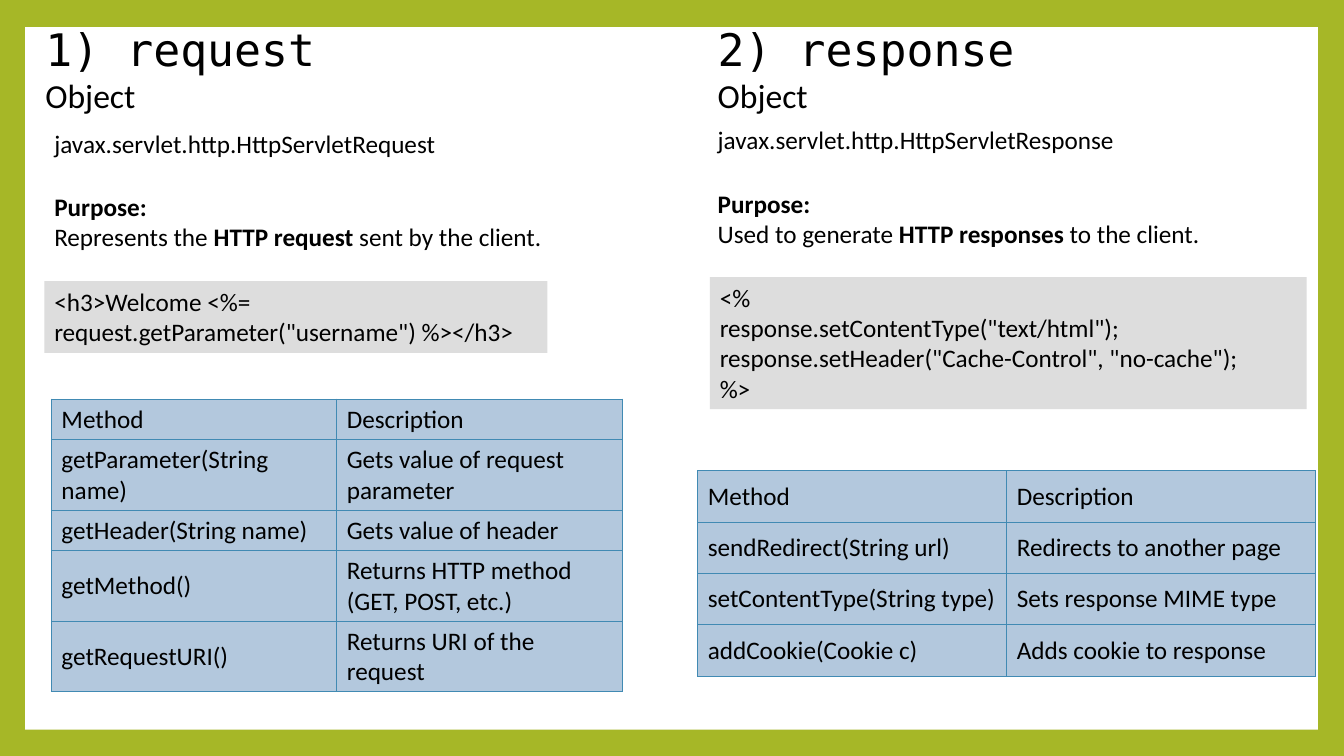
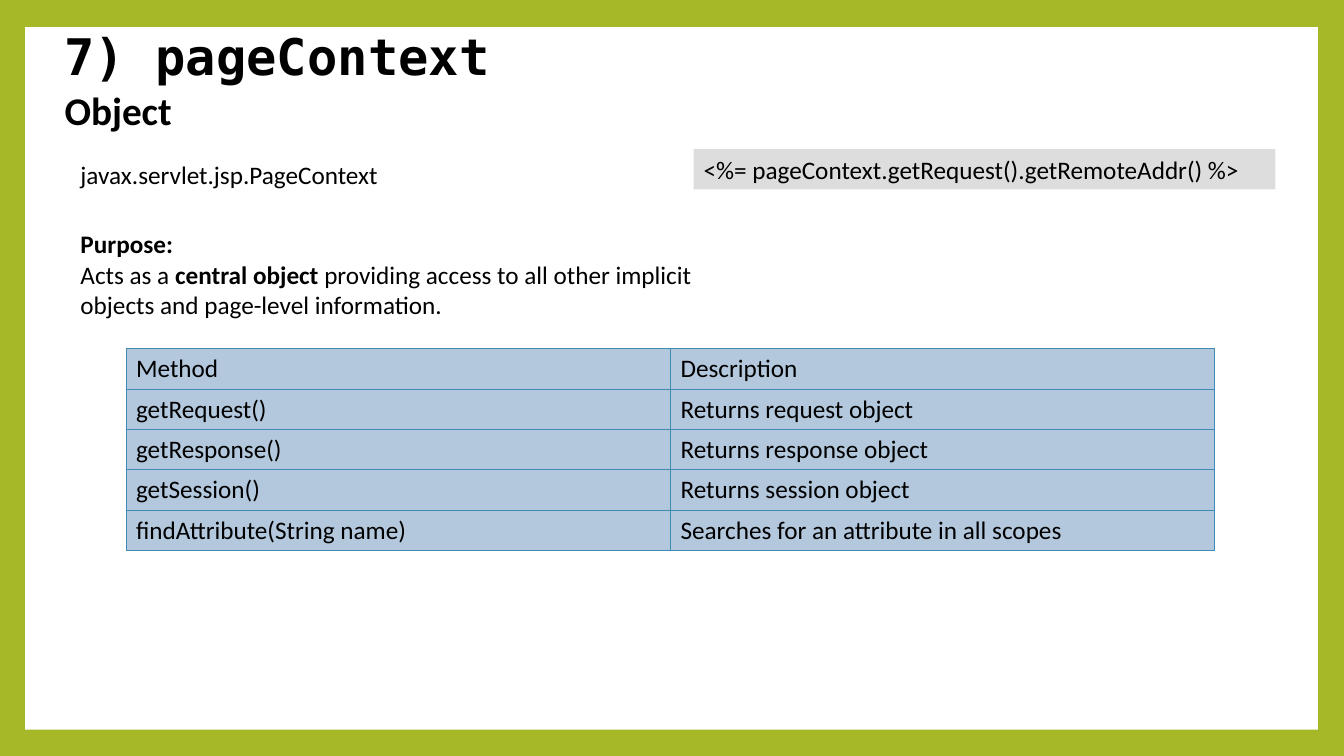
import pptx
import pptx.dml.color
import pptx.enum.shapes
import pptx.enum.text
import pptx.oxml
import pptx.oxml.ns
import pptx.util

Inches = pptx.util.Inches
Pt = pptx.util.Pt

# Shared look
GREEN, WHITE, BLACK = "A6B727", "FFFFFF", "000000"
CODE_GRAY, CELL_BLUE, BORDER_BLUE = "DDDDDD", "B3C8DD", "418AB3"
BODY_FONT, MONO_FONT = "Calibri", "DejaVu Sans Mono"
BODY_SIZE = 18
TITLE_ONLY = 5


def color(hex_string):
    return pptx.dml.color.RGBColor.from_string(hex_string)


def paint(shape, hex_string):
    shape.shadow.inherit = False
    shape.fill.solid()
    shape.fill.fore_color.rgb = color(hex_string)
    shape.line.fill.background()


def place(shape, left, top, width, height):
    shape.left, shape.top = Inches(left), Inches(top)
    shape.width, shape.height = Inches(width), Inches(height)


def format_run(run, size=BODY_SIZE, font=BODY_FONT, bold=False):
    run.font.size = Pt(size)
    run.font.name = font
    run.font.bold = bold
    run.font.color.rgb = color(BLACK)


def write(text_frame, lines):
    """Write one paragraph per line; text between ** marks is bold."""
    text_frame.word_wrap = True
    text_frame.vertical_anchor = pptx.enum.text.MSO_ANCHOR.TOP
    for index, line in enumerate(lines):
        paragraph = text_frame.paragraphs[0] if index == 0 else text_frame.add_paragraph()
        paragraph.alignment = pptx.enum.text.PP_ALIGN.LEFT
        for part, words in enumerate(line.split("**")):
            if words:
                run = paragraph.add_run()
                run.text = words
                format_run(run, bold=part % 2 == 1)


def add_text(slide, box, lines):
    shape = slide.shapes.add_textbox(*map(Inches, box))
    write(shape.text_frame, lines)


def add_code(slide, box, lines):
    rectangle = pptx.enum.shapes.MSO_SHAPE.RECTANGLE
    shape = slide.shapes.add_shape(rectangle, *map(Inches, box))
    paint(shape, CODE_GRAY)
    write(shape.text_frame, lines)


def fill_title(shape, box, name, size, bold):
    """Object name in the mono font, followed by a smaller word."""
    place(shape, *box)
    text_frame = shape.text_frame
    text_frame.text = name
    text_frame.word_wrap = True
    text_frame.auto_size = pptx.enum.text.MSO_AUTO_SIZE.NONE
    text_frame.vertical_anchor = pptx.enum.text.MSO_ANCHOR.MIDDLE
    paragraph = text_frame.paragraphs[0]
    paragraph.alignment = pptx.enum.text.PP_ALIGN.LEFT
    format_run(paragraph.runs[0], size, MONO_FONT, bold)
    run = paragraph.add_run()
    run.text = " Object"
    format_run(run, size - 8, BODY_FONT, bold)


def add_borders(cell):
    properties = cell._tc.get_or_add_tcPr()
    for index, side in enumerate(("lnL", "lnR", "lnT", "lnB")):
        line = pptx.oxml.parse_xml(
            f'<a:{side} {pptx.oxml.ns.nsdecls("a")} w="{Pt(0.79)}"><a:solidFill>'
            f'<a:srgbClr val="{BORDER_BLUE}"/></a:solidFill></a:{side}>')
        properties.insert(index, line)


def add_method_table(slide, left, top, width, row_height, methods):
    rows = [("Method", "Description"), *methods]
    frame = slide.shapes.add_table(
        len(rows), 2, Inches(left), Inches(top),
        Inches(width), Inches(row_height * len(rows)))
    table = frame.table
    table.first_row = table.horz_banding = False
    for row_index, row in enumerate(rows):
        for column_index, words in enumerate(row):
            cell = table.cell(row_index, column_index)
            write(cell.text_frame, [words])
            cell.vertical_anchor = pptx.enum.text.MSO_ANCHOR.MIDDLE
            cell.fill.solid()
            cell.fill.fore_color.rgb = color(CELL_BLUE)
            add_borders(cell)


def add_object_panel(slide, title_shape, left, top, panel):
    """Title, class, purpose, code and methods, offset from the panel corner."""
    def at(key):
        x, y, *size = panel[key]
        return (left + x, top + y, *size)

    fill_title(title_shape, at("title_box"), panel["name"],
               panel["title_size"], panel["title_bold"])
    add_text(slide, at("class_box"), [panel["class"]])
    add_text(slide, at("purpose_box"), ["**Purpose:**", panel["purpose"]])
    add_code(slide, at("code_box"), panel["code"])
    add_method_table(slide, *at("table_box"), panel["methods"])


REQUEST = {
    "name": "1) request", "title_size": 32, "title_bold": False,
    "title_box": (0, 0, 3.28, 0.64),
    "class": "javax.servlet.http.HttpServletRequest",
    "class_box": (0.09, 0.86, 4.15, 0.4),
    "purpose": "Represents the **HTTP request** sent by the client.",
    "purpose_box": (0.09, 1.49, 6.4, 0.71),
    "code": ['<h3>Welcome <%= request.getParameter("username") %></h3>'],
    "code_box": (0.09, 2.43, 4.99, 0.71),
    "table_box": (0.16, 3.6, 5.66, 0.4),
    "methods": [
        ("getParameter(String name)", "Gets value of request parameter"),
        ("getHeader(String name)", "Gets value of header"),
        ("getMethod()", "Returns HTTP method (GET, POST, etc.)"),
        ("getRequestURI()", "Returns URI of the request"),
    ],
}

RESPONSE = {
    "name": "2) response", "title_size": 32, "title_bold": False,
    "title_box": (0, 0, 3.63, 0.64),
    "class": "javax.servlet.http.HttpServletResponse",
    "class_box": (0, 0.82, 4.31, 0.4),
    "purpose": "Used to generate **HTTP responses** to the client.",
    "purpose_box": (0, 1.46, 6, 0.71),
    "code": ["<%", 'response.setContentType("text/html");',
             'response.setHeader("Cache-Control", "no-cache");', "%>"],
    "code_box": (0.02, 2.39, 5.92, 1.31),
    "table_box": (-0.1, 4.31, 6.13, 0.51),
    "methods": [
        ("sendRedirect(String url)", "Redirects to another page"),
        ("setContentType(String type)", "Sets response MIME type"),
        ("addCookie(Cookie c)", "Adds cookie to response"),
    ],
}

PAGE_CONTEXT = {
    "name": "7) pageContext", "title_size": 36, "title_bold": True,
    "title_box": (0, 0, 4.93, 0.71),
    "class": "javax.servlet.jsp.PageContext",
    "class_box": (0.16, 1.1, 3.3, 0.4),
    "purpose": "Acts as a **central object** providing access to all other "
               "implicit objects and page-level information.",
    "purpose_box": (0.16, 1.79, 6.67, 1.01),
    "code": ["<%= pageContext.getRequest().getRemoteAddr() %>"],
    "code_box": (6.34, 1.05, 5.77, 0.4),
    "table_box": (0.71, 3.03, 10.8, 0.4),
    "methods": [
        ("getRequest()", "Returns request object"),
        ("getResponse()", "Returns response object"),
        ("getSession()", "Returns session object"),
        ("findAttribute(String name)", "Searches for an attribute in all scopes"),
    ],
}


def add_frame(presentation, layout, slide):
    """Green background and white sheet, shared through the layout."""
    fill = presentation.slide_master.background.fill
    fill.solid()
    fill.fore_color.rgb = color(GREEN)
    sheet = slide.shapes.add_shape(
        pptx.enum.shapes.MSO_SHAPE.RECTANGLE,
        Inches(0.25), Inches(0.27), Inches(12.82), Inches(6.97))
    paint(sheet, WHITE)
    layout.shapes.element.insert(2, sheet.element)


def build_request_response(slide):
    add_object_panel(slide, slide.shapes.title, 0.35, 0.36, REQUEST)
    second_title = slide.shapes.add_textbox(0, 0, 0, 0)
    add_object_panel(slide, second_title, 7.02, 0.36, RESPONSE)


def build_page_context(slide):
    add_object_panel(slide, slide.shapes.title, 0.54, 0.43, PAGE_CONTEXT)


def main():
    presentation = pptx.Presentation()
    presentation.slide_width = Inches(13.33)
    presentation.slide_height = Inches(7.5)
    layout = presentation.slide_layouts[TITLE_ONLY]
    first = presentation.slides.add_slide(layout)
    add_frame(presentation, layout, first)
    build_request_response(first)
    build_page_context(presentation.slides.add_slide(layout))
    presentation.save("out.pptx")


if __name__ == "__main__":
    main()
